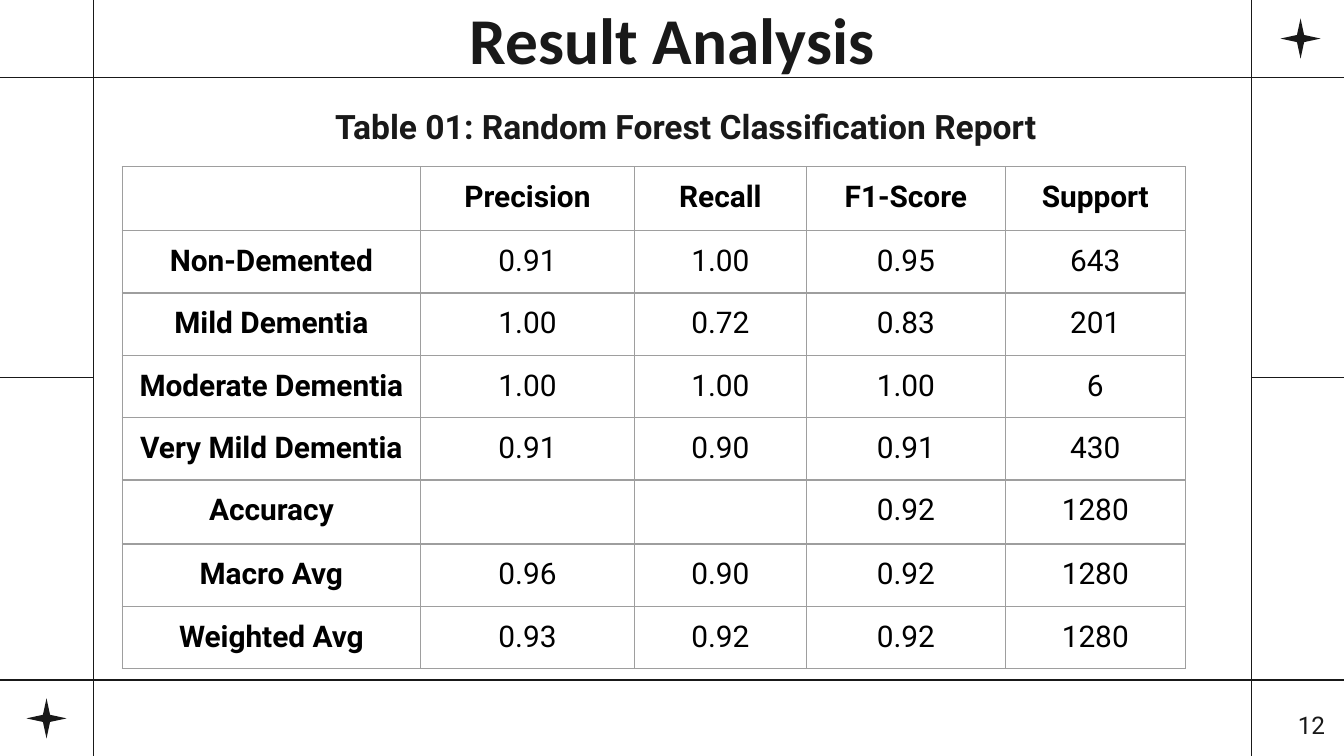
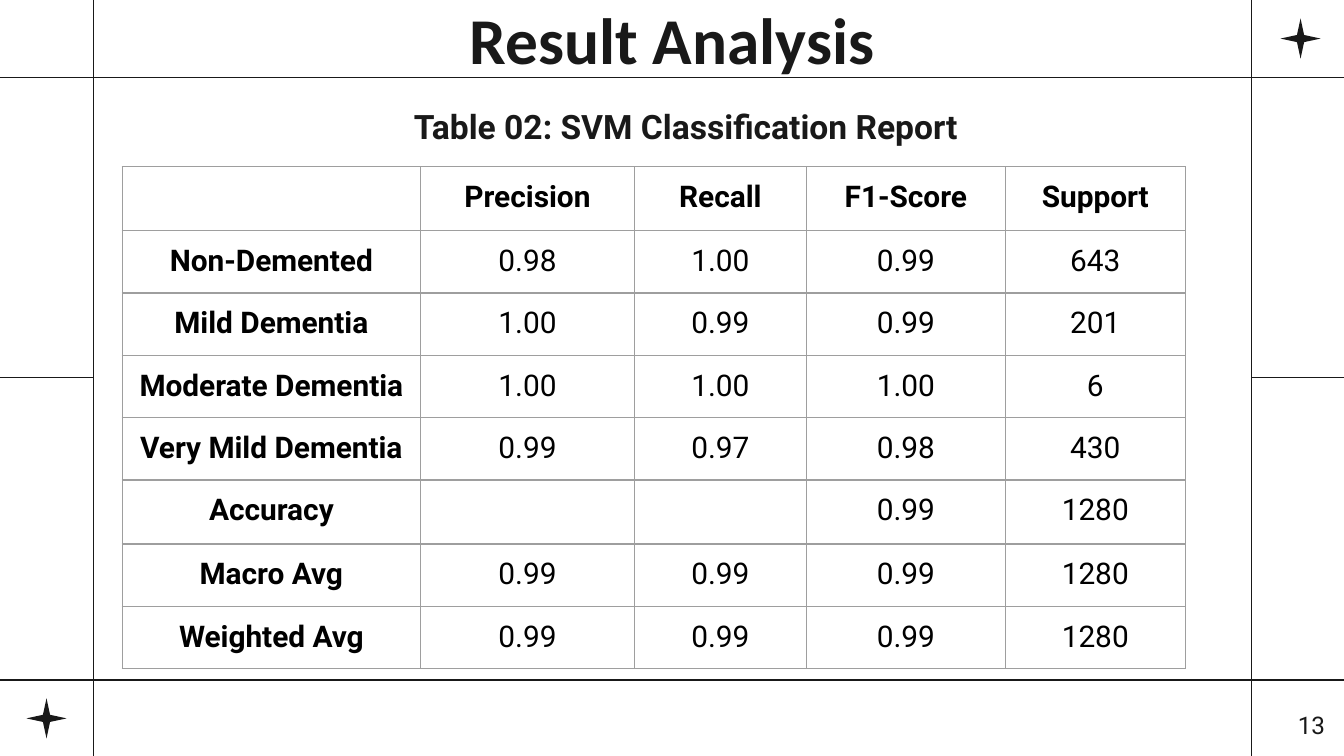
from lxml.etree import SubElement
from pptx import Presentation
from pptx.dml.color import RGBColor
from pptx.enum.shapes import MSO_CONNECTOR as CONN, MSO_SHAPE as SHAPE
from pptx.enum.text import MSO_ANCHOR as ANCHOR, MSO_AUTO_SIZE as AUTO, PP_ALIGN as ALIGN
from pptx.oxml.ns import qn
from pptx.util import Cm, Pt

WIDTH, HEIGHT = 25.4, 14.29
INK, BLACK, GREY, WHITE = "191919", "000000", "9E9E9E", "FFFFFF"
BODY, HEADING = "Roboto", "Calibri"
LEFT, RIGHT, TOP, MIDDLE, BOTTOM = 1.77, 23.65, 1.47, 7.14, 12.85
GUIDES = [
    (LEFT, 0, LEFT, HEIGHT), (RIGHT, 0, RIGHT, HEIGHT),
    (0, TOP, WIDTH, TOP), (0, BOTTOM, WIDTH, BOTTOM),
    (0, MIDDLE, LEFT, MIDDLE), (RIGHT, MIDDLE, WIDTH, MIDDLE),
]
STARS = [(24.2, 0.35), (0.5, 13.2)]
STAR_SIZE = 0.76
INSET = 0.25
COL_WIDTHS = [5.64, 4.04, 3.25, 3.76, 3.4]
ROW_HEIGHT, TALL_ROW = 1.16, 1.21

HEADER = ["", "Precision", "Recall", "F1-Score", "Support"]
LABELS = ["Non-Demented", "Mild Dementia", "Moderate Dementia", "Very Mild Dementia",
          "Accuracy", "Macro Avg", "Weighted Avg"]
SUPPORT = ["643", "201", "6", "430", "1280", "1280", "1280"]
REPORTS = [
    ("12", "Table 01: Random Forest Classification Report", [
        ("0.91", "1.00", "0.95"), ("1.00", "0.72", "0.83"), ("1.00", "1.00", "1.00"),
        ("0.91", "0.90", "0.91"), ("", "", "0.92"), ("0.96", "0.90", "0.92"),
        ("0.93", "0.92", "0.92")]),
    ("13", "Table 02: SVM Classification Report", [
        ("0.98", "1.00", "0.99"), ("1.00", "0.99", "0.99"), ("1.00", "1.00", "1.00"),
        ("0.99", "0.97", "0.98"), ("", "", "0.99"), ("0.99", "0.99", "0.99"),
        ("0.99", "0.99", "0.99")]),
]


def rgb(color):
    return RGBColor.from_string(color)


def write(tf, text, size=16, font=BODY, color=INK, bold=False, align=ALIGN.CENTER):
    p = tf.paragraphs[0]
    p.alignment = align
    r = p.add_run()
    r.text = text
    r.font.size = Pt(size)
    r.font.name = font
    r.font.bold = bold
    r.font.color.rgb = rgb(color)


def set_insets(obj):
    obj.margin_left = obj.margin_right = Cm(INSET)
    obj.margin_top = obj.margin_bottom = Cm(INSET)


def add_text(s, x, y, w, h, text, **style):
    tf = s.shapes.add_textbox(Cm(x), Cm(y), Cm(w), Cm(h)).text_frame
    tf.word_wrap = True
    set_insets(tf)
    write(tf, text, **style)


def add_guide(s, x1, y1, x2, y2):
    line = s.shapes.add_connector(CONN.STRAIGHT, Cm(x1), Cm(y1), Cm(x2), Cm(y2))
    line.line.color.rgb = rgb(INK)
    line.line.width = Pt(0.75)
    SubElement(line.element.spPr, qn("a:effectLst"))


def add_star(s, x, y):
    sp = s.shapes.add_shape(SHAPE.STAR_4_POINT, Cm(x), Cm(y), Cm(STAR_SIZE), Cm(STAR_SIZE))
    sp.adjustments[0] = 0.125
    sp.shadow.inherit = False
    sp.fill.solid()
    sp.fill.fore_color.rgb = rgb(INK)
    sp.line.fill.background()


def set_title(s, text):
    sp = s.shapes.title
    sp.left, sp.top, sp.width, sp.height = Cm(4.8), Cm(-0.03), Cm(15.82), Cm(1.5)
    tf = sp.text_frame
    tf.word_wrap = True
    tf.auto_size = AUTO.NONE
    tf.vertical_anchor = ANCHOR.MIDDLE
    set_insets(tf)
    write(tf, text, size=35, font=HEADING, bold=True)


def set_borders(cell):
    tc_pr = cell._tc.get_or_add_tcPr()
    for side in ("a:lnL", "a:lnR", "a:lnT", "a:lnB"):
        ln = SubElement(tc_pr, qn(side), w=str(Pt(0.75)))
        fill = SubElement(ln, qn("a:solidFill"))
        SubElement(fill, qn("a:srgbClr"), val=GREY)


def format_cell(cell, text, bold):
    set_insets(cell)
    set_borders(cell)
    cell.fill.background()
    if text:
        write(cell.text_frame, text, color=BLACK, bold=bold)
    else:
        cell.margin_top = cell.margin_bottom = Cm(0.15)


def add_report(s, x, y, rows):
    heights = [ROW_HEIGHT if all(row) else TALL_ROW for row in rows]
    table = s.shapes.add_table(len(rows), len(COL_WIDTHS), Cm(x), Cm(y),
                               Cm(sum(COL_WIDTHS)), Cm(sum(heights))).table
    table.first_row = table.horz_banding = False
    for col, width in zip(table.columns, COL_WIDTHS):
        col.width = Cm(width)
    for i, row in enumerate(rows):
        table.rows[i].height = Cm(heights[i])
        for j, text in enumerate(row):
            format_cell(table.cell(i, j), text, bold=i == 0 or j == 0)


def add_report_slide(prs, number, caption, scores):
    s = prs.slides.add_slide(prs.slide_layouts[5])
    s.background.fill.solid()
    s.background.fill.fore_color.rgb = rgb(WHITE)
    for guide in GUIDES:
        add_guide(s, *guide)
    for star in STARS:
        add_star(s, *star)
    set_title(s, "Result Analysis")
    add_text(s, 23.77, 13.18, 1.52, 1.09, number, size=13, align=ALIGN.RIGHT)
    rows = [[label, *score, count] for label, score, count in zip(LABELS, scores, SUPPORT)]
    add_report(s, 2.31, 3.15, [HEADER, *rows])
    add_text(s, 4.8, 1.75, 16.33, 1.27, caption, size=18, bold=True)


def main():
    prs = Presentation()
    prs.slide_width, prs.slide_height = Cm(WIDTH), Cm(HEIGHT)
    for report in REPORTS:
        add_report_slide(prs, *report)
    prs.save("out.pptx")


if __name__ == "__main__":
    main()
